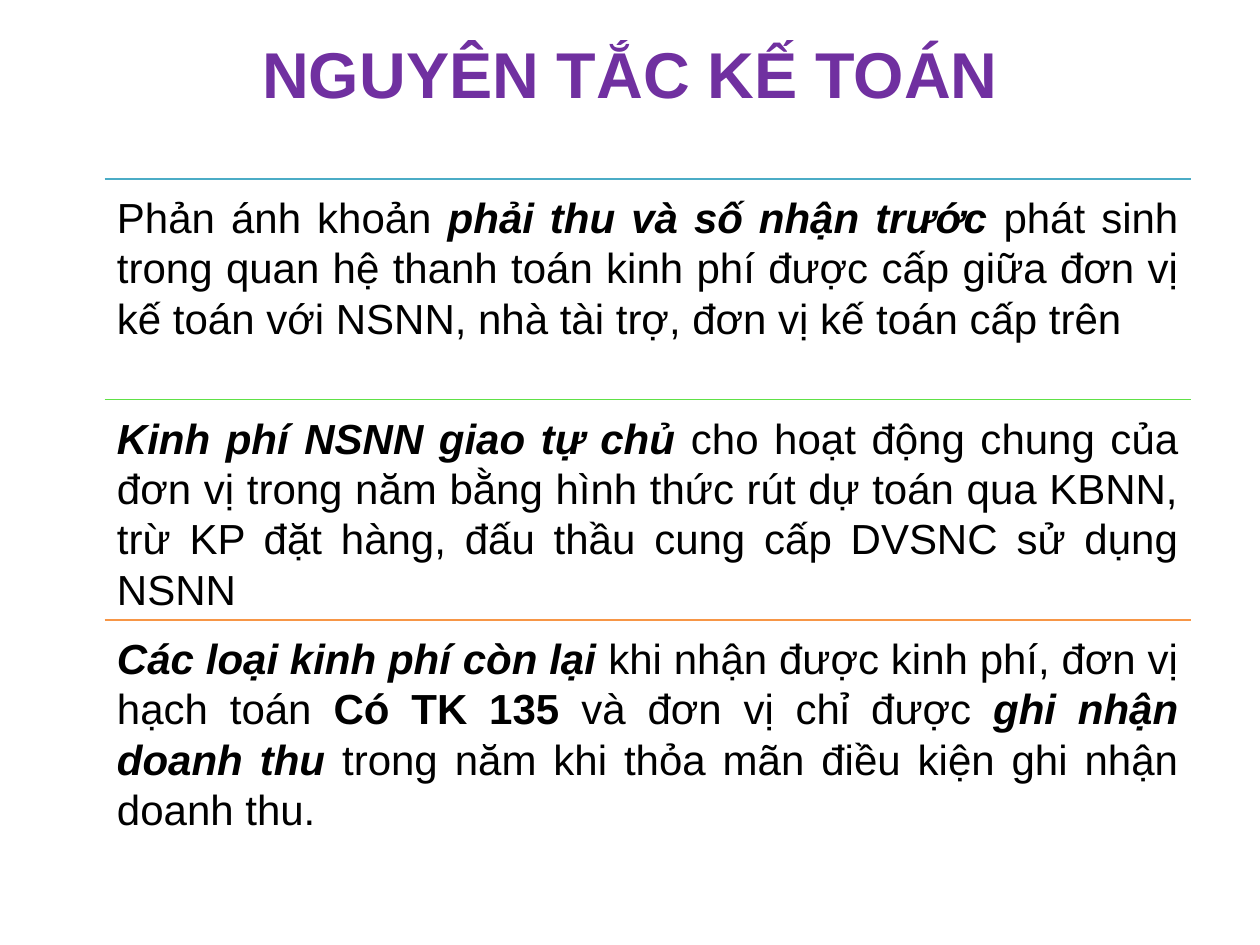
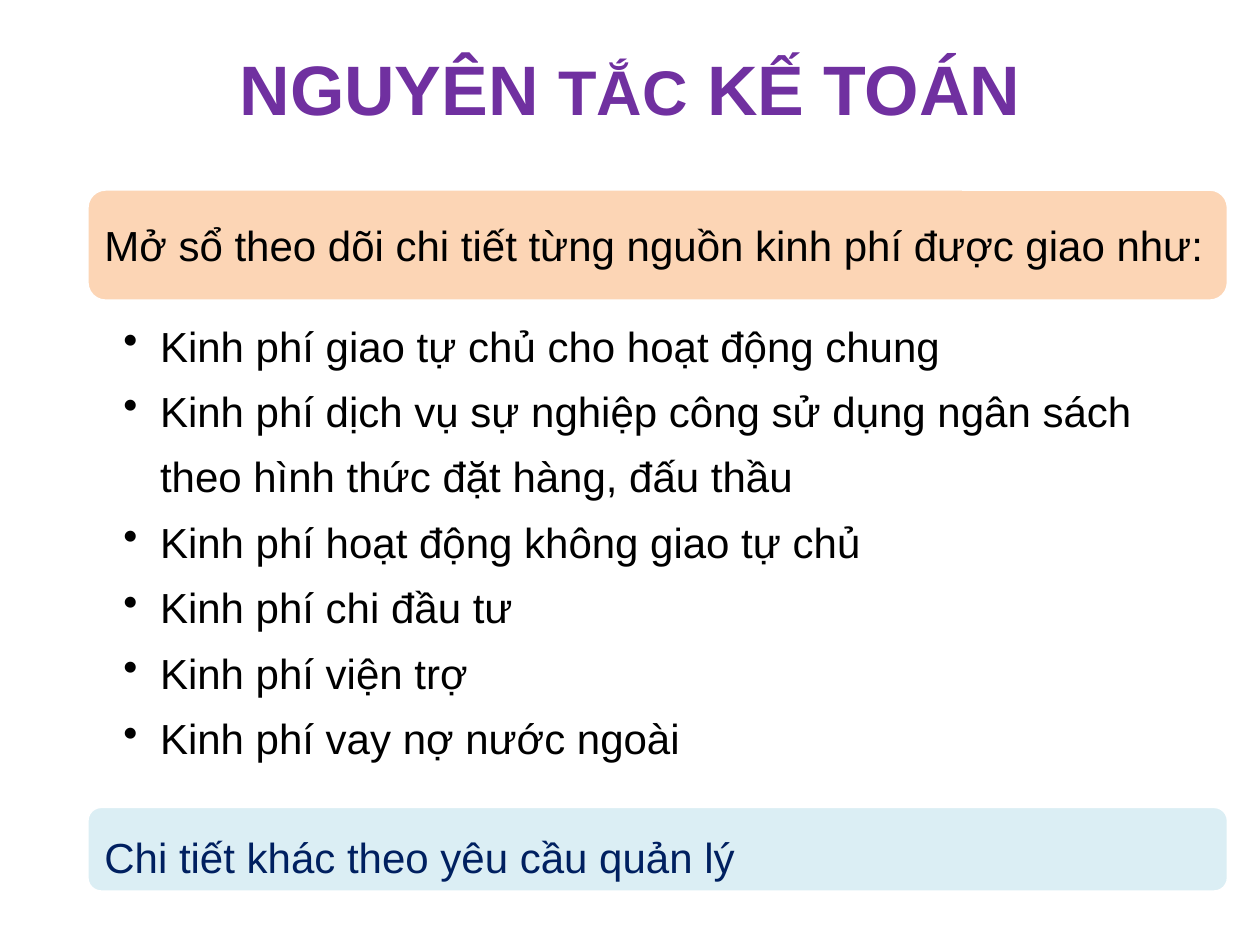
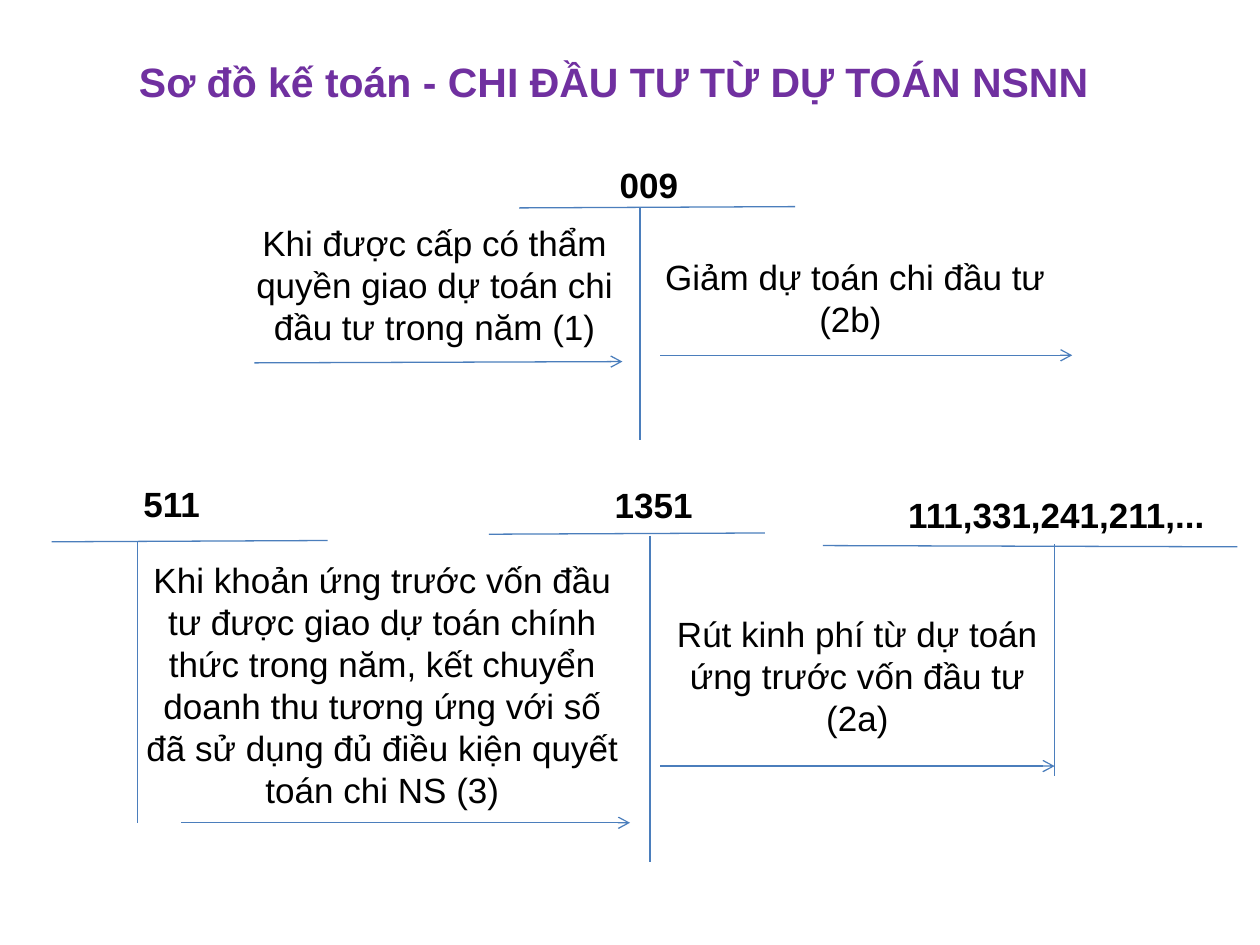
from pptx import Presentation
from pptx.dml.color import RGBColor
from pptx.enum.shapes import MSO_CONNECTOR, MSO_SHAPE
from pptx.enum.text import MSO_ANCHOR as ANCHOR, PP_ALIGN as ALIGN
from pptx.oxml.ns import qn
from pptx.util import Inches, Pt
from lxml.etree import SubElement

FONT = "Arial"
COLORS = {
    "title": "7030A0", "text": "000000", "navy": "002060", "white": "FFFFFF",
    "teal": "4BACC6", "green": "60E146", "orange": "F79646",
    "peach": "FCD5B5", "ice": "DBEEF4", "line": "4B7EBC",
}


def color(name):
    return RGBColor.from_string(COLORS[name])


def add_text(s, box, paras, size=24, fill="text", bold=False, align=ALIGN.LEFT,
             anchor=ANCHOR.TOP, insets=(0.1, 0.05, 0.1, 0.05), spacing=None,
             bullet=None, hanging=0, wrap=True):
    """Each paragraph is a string or a list of (text, font settings) runs."""
    tf = s.shapes.add_textbox(*map(Inches, box)).text_frame
    tf.word_wrap = wrap
    tf.vertical_anchor = anchor
    (tf.margin_left, tf.margin_top,
     tf.margin_right, tf.margin_bottom) = map(Inches, insets)
    for i, runs in enumerate(paras):
        p = tf.paragraphs[0] if i == 0 else tf.add_paragraph()
        p.alignment = align
        if spacing:
            p.line_spacing = spacing
        pPr = p._p.get_or_add_pPr()
        if hanging:
            pPr.set("marL", str(Inches(hanging)))
            pPr.set("indent", str(-Inches(hanging)))
        if bullet:
            SubElement(pPr, qn("a:buChar")).set("char", bullet)
        for text, style in [(runs, {})] if isinstance(runs, str) else runs:
            r = p.add_run()
            r.text = text
            r.font.name = FONT
            r.font.size = Pt(style.get("size", size))
            r.font.bold = style.get("bold", bold)
            r.font.italic = style.get("italic", False)
            r.font.color.rgb = color(fill)


def add_title(s, box, runs, size):
    add_text(s, box, [runs], size=size, fill="title", bold=True,
             align=ALIGN.CENTER, anchor=ANCHOR.BOTTOM)


def add_line(s, x1, y1, x2, y2, fill="line", arrow=False):
    c = s.shapes.add_connector(MSO_CONNECTOR.STRAIGHT,
                               *map(Inches, (x1, y1, x2, y2)))
    c.line.color.rgb = color(fill)
    c.line.width = Pt(0.75)
    if arrow:
        SubElement(c.line._get_or_add_ln(), qn("a:tailEnd")).set("type", "arrow")
    SubElement(c._element.spPr, qn("a:effectLst"))


def add_band(s, top, height, band_fill, text, **fmt):
    left, width, pad = 0.69, 9.06, 0.04
    sp = s.shapes.add_shape(MSO_SHAPE.ROUNDED_RECTANGLE,
                            *map(Inches, (left, top, width, height)))
    sp.shadow.inherit = False
    sp.fill.solid()
    sp.fill.fore_color.rgb = color(band_fill)
    sp.line.color.rgb = color("white")
    sp.line.width = Pt(2)
    add_text(s, (left + pad, top + pad, width - 2 * pad, height - 2 * pad),
             [text], anchor=ANCHOR.MIDDLE, insets=(0.1,) * 4, **fmt)


def add_account(s, number, box, bar, stem, wrap=False):
    """T-account: number, horizontal bar and vertical stem (x, top, bottom)."""
    add_text(s, box, [number], size=20, bold=True, wrap=wrap)
    add_line(s, *bar)
    x, top, bottom = stem
    add_line(s, x, top, x, bottom)


def add_entry(s, text, box, arrow):
    add_text(s, box, [text], size=20, align=ALIGN.CENTER)
    add_line(s, *arrow, arrow=True)


def build_principles(s):
    add_title(s, (0.69, 0.25, 8.62, 0.68), "NGUYÊN TẮC KẾ TOÁN", 37)
    strong = {"bold": True, "italic": True}
    rows = [
        ("teal", [
            ("Phản ánh khoản ", {}),
            ("phải thu và số nhận trước ", strong),
            ("phát sinh trong quan hệ thanh toán kinh phí được cấp giữa đơn vị "
             "kế toán với NSNN, nhà tài trợ, đơn vị kế toán cấp trên", {})]),
        ("green", [
            ("Kinh phí NSNN giao tự chủ ", strong),
            ("cho hoạt động chung của đơn vị trong năm bằng hình thức rút dự toán "
             "qua KBNN, trừ KP đặt hàng, đấu thầu cung cấp DVSNC sử dụng NSNN", {})]),
        ("orange", [
            ("Các loại kinh phí còn lại ", strong),
            ("khi nhận được kinh phí, đơn vị hạch toán ", {}),
            ("Có TK 135 ", {"bold": True}),
            ("và đơn vị chỉ được ", {}),
            ("ghi nhận doanh thu ", strong),
            ("trong năm khi thỏa mãn điều kiện ghi nhận doanh thu.", {})]),
    ]
    left, width, height = 0.83, 8.62, 1.75
    for i, (fill, runs) in enumerate(rows):
        top = 1.42 + i * height
        add_line(s, left, top, left + width, top, fill)
        add_text(s, (left, top, width, height), [runs],
                 align=ALIGN.JUSTIFY, insets=(0.1,) * 4)


def build_tracking(s):
    add_title(s, (0.69, 0.28, 8.62, 0.8),
              [("NGUYÊN ", {}), ("TẮC", {"size": 36}), (" KẾ TOÁN", {})], 40)
    add_band(s, 1.5, 0.89, "peach",
             "Mở sổ theo dõi chi tiết từng nguồn kinh phí được giao như:")
    sources = [
        "Kinh phí giao tự chủ cho hoạt động chung",
        "Kinh phí dịch vụ sự nghiệp công sử dụng ngân sách "
        "theo hình thức đặt hàng, đấu thầu",
        "Kinh phí hoạt động không giao tự chủ",
        "Kinh phí chi đầu tư",
        "Kinh phí viện trợ",
        "Kinh phí vay nợ nước ngoài",
    ]
    add_text(s, (0.69, 2.39, 9.06, 4.01), sources, spacing=1.3, bullet="•",
             hanging=0.29, insets=(0.29, 0.03, 0.19, 0.03))
    add_band(s, 6.4, 0.68, "ice", "Chi tiết khác theo yêu cầu quản lý",
             fill="navy", spacing=1.3, hanging=0.29)


def build_diagram(s):
    add_title(s, (0.08, 0.28, 9.58, 0.61),
              "Sơ đồ kế toán - CHI ĐẦU TƯ TỪ DỰ TOÁN NSNN", 23.4)
    # Off-balance account
    add_account(s, "009", (4.82, 1.25, 0.67, 0.44),
                (4.12, 1.65, 6.31, 1.64), (5.08, 1.65, 3.49))
    add_entry(s, "Khi được cấp có thẩm quyền giao dự toán chi đầu tư trong năm (1)",
              (1.86, 1.71, 3.18, 1.11), (2.02, 2.88, 4.94, 2.87))
    add_entry(s, " Giảm dự toán chi đầu tư (2b)",
              (4.87, 1.98, 3.76, 0.77), (5.24, 2.82, 8.51, 2.82))
    # Balance accounts
    add_account(s, "511", (1.04, 3.78, 0.65, 0.44),
                (0.41, 4.3, 2.6, 4.29), (1.09, 4.3, 6.53))
    add_account(s, "1351", (4.78, 3.79, 0.83, 0.44),
                (3.88, 4.24, 6.07, 4.23), (5.16, 4.25, 6.84))
    add_account(s, "111,331,241,211,...", (7.11, 3.87, 3.25, 0.44),
                (6.53, 4.33, 9.82, 4.34), (8.37, 4.32, 6.16), wrap=True)
    add_entry(s, "Rút kinh phí từ dự toán ứng trước vốn đầu tư (2a)",
              (5.24, 4.81, 3.13, 1.11), (5.24, 6.08, 8.37, 6.08))
    add_entry(s, "Khi khoản ứng trước vốn đầu tư được giao dự toán chính thức trong "
              "năm, kết chuyển doanh thu tương ứng với số đã sử dụng đủ điều kiện "
              "quyết toán chi NS (3)",
              (1.04, 4.38, 3.99, 2.12), (1.44, 6.53, 5, 6.53))


def main():
    prs = Presentation()
    prs.slide_width, prs.slide_height = Inches(10), Inches(7.5)
    for build in (build_principles, build_tracking, build_diagram):
        build(prs.slides.add_slide(prs.slide_layouts[6]))
    prs.save("out.pptx")


if __name__ == "__main__":
    main()
